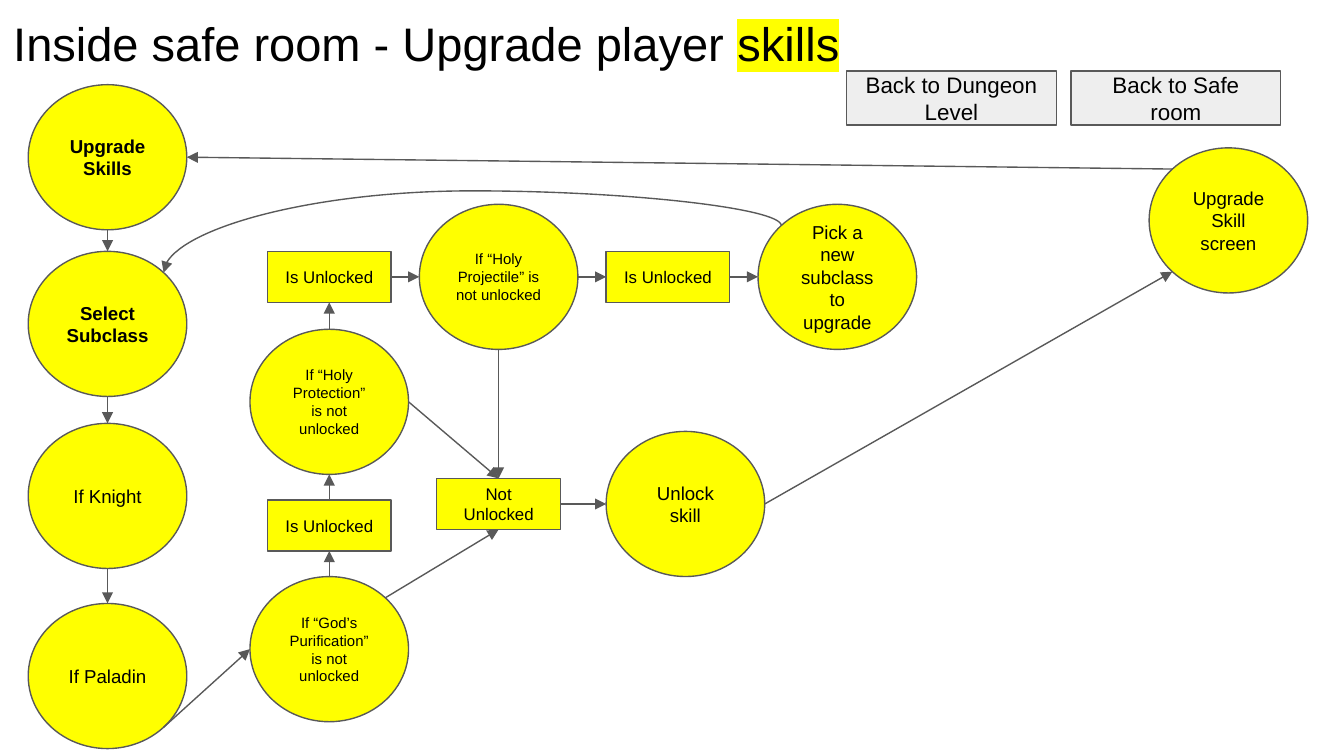
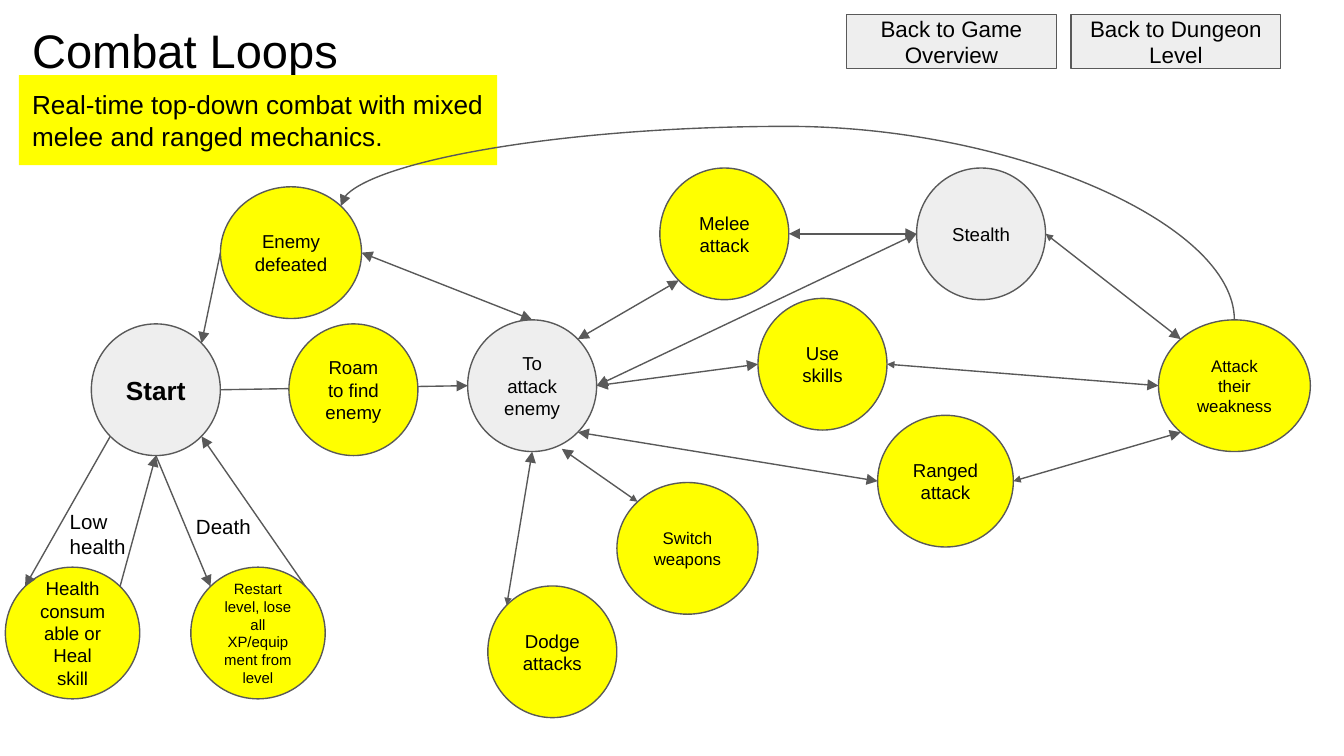
from dataclasses import dataclass
from math import sqrt

from lxml import etree
from pptx import Presentation
from pptx.dml.color import RGBColor
from pptx.enum.shapes import MSO_CONNECTOR, MSO_SHAPE
from pptx.enum.text import MSO_ANCHOR, PP_ALIGN
from pptx.oxml.ns import qn
from pptx.util import Emu, Pt

OVAL, RECTANGLE = MSO_SHAPE.OVAL, MSO_SHAPE.RECTANGLE
STRAIGHT, CURVE = MSO_CONNECTOR.STRAIGHT, MSO_CONNECTOR.CURVE
TOP, MIDDLE, BOTTOM = MSO_ANCHOR.TOP, MSO_ANCHOR.MIDDLE, MSO_ANCHOR.BOTTOM
LEFT, CENTER = PP_ALIGN.LEFT, PP_ALIGN.CENTER

EMU_PER_PX = 9144
YELLOW, GREY, LINE, BLACK = "FFFF00", "EEEEEE", "595959", "000000"
FONT = "Arial"
TITLE_SIZE, LINE_WIDTH, INSET = 25.2, 0.75, 10
DIAGONAL = sqrt(0.5)
DIRECTIONS = {
    "n": (0, -1), "w": (-1, 0), "s": (0, 1), "e": (1, 0),
    "nw": (-DIAGONAL, -DIAGONAL), "ne": (DIAGONAL, -DIAGONAL),
    "sw": (-DIAGONAL, DIAGONAL), "se": (DIAGONAL, DIAGONAL),
}
RECTANGLE_SITES = {"n": 0, "w": 1, "s": 2, "e": 3}

Point = tuple[float, float]


@dataclass(frozen=True)
class Node:
    name: str
    text: str
    left: int
    top: int
    width: int
    height: int
    size: float = 10
    fill: str = YELLOW
    bold: bool = False
    outline: MSO_SHAPE = OVAL
    front: bool = False


@dataclass(frozen=True)
class Label:
    text: str
    left: int
    top: int
    width: int
    height: int
    size: float
    fill: str = ""
    anchor: MSO_ANCHOR = TOP
    marked: str = ""


@dataclass(frozen=True)
class Link:
    start: str
    end: str | Point
    head: str = ""
    peak: int | None = None


@dataclass(frozen=True)
class Page:
    labels: list[Label]
    nodes: list[Node]
    links: list[Link]


def px(value: float) -> Emu:
    return Emu(round(value * EMU_PER_PX))


def color(value: str) -> RGBColor:
    return RGBColor.from_string(value)


def title(text: str, left: int, top: int, marked: str = "") -> Label:
    return Label(text, left, top, 932, 63, TITLE_SIZE, anchor=BOTTOM, marked=marked)


def button(text: str, column: int, top: int) -> Node:
    return Node(text, text, 630 + 167 * column, top, 156, 40, 12, GREY, outline=RECTANGLE)


def skill(name: str, text: str, left: int, top: int, size: float = 10, bold: bool = False) -> Node:
    return Node(name, text, left, top, 118, 108, size, bold=bold)


def status(name: str, text: str, left: int, top: int) -> Node:
    return Node(name, text, left, top, 92, 38, 9, outline=RECTANGLE)


def action(name: str, text: str, left: int, top: int, width: int = 96, size: float = 10,
           fill: str = YELLOW, bold: bool = False, front: bool = False) -> Node:
    return Node(name, text, left, top, width, 98, size, fill, bold, front=front)


def write_text(shape, text: str, size: float, anchor: MSO_ANCHOR, align: PP_ALIGN,
               bold: bool = False, marked: str = "") -> None:
    frame = shape.text_frame
    frame.text = text
    frame.word_wrap = True
    frame.vertical_anchor = anchor
    frame.margin_left = frame.margin_right = px(INSET)
    frame.margin_top = frame.margin_bottom = px(INSET)
    if marked:
        frame.paragraphs[0].add_run().text = marked
    for paragraph in frame.paragraphs:
        paragraph.alignment = align
        for run in paragraph.runs:
            run.font.size = Pt(size)
            run.font.bold = bold
            run.font.color.rgb = color(BLACK)
            if marked and run.text == marked:
                highlight = etree.SubElement(run.font._element, qn("a:highlight"))
                etree.SubElement(highlight, qn("a:srgbClr")).set("val", YELLOW)
            run.font.name = FONT


def draw_label(slide, label: Label) -> None:
    shape = slide.shapes.add_textbox(
        px(label.left), px(label.top), px(label.width), px(label.height))
    if label.fill:
        shape.fill.solid()
        shape.fill.fore_color.rgb = color(label.fill)
    write_text(shape, label.text, label.size, label.anchor, LEFT, marked=label.marked)


def draw_node(slide, node: Node):
    shape = slide.shapes.add_shape(
        node.outline, px(node.left), px(node.top), px(node.width), px(node.height))
    shape.shadow.inherit = False
    shape.fill.solid()
    shape.fill.fore_color.rgb = color(node.fill)
    shape.line.color.rgb = color(LINE)
    shape.line.width = Pt(LINE_WIDTH)
    write_text(shape, node.text, node.size, MIDDLE, CENTER, node.bold)
    return shape


def locate(anchor: str | Point, nodes: dict[str, Node]) -> Point:
    if not isinstance(anchor, str):
        return anchor
    name, site = anchor.split(":")
    node = nodes[name]
    across, down = DIRECTIONS[site]
    return (node.left + node.width / 2 * (1 + across),
            node.top + node.height / 2 * (1 + down))


def add_straight(slide, start: Point, end: Point):
    return slide.shapes.add_connector(STRAIGHT, *map(px, (*start, *end)))


def add_arch(slide, start: Point, end: Point, peak: int):
    rise = end[1] - start[1]
    span = abs(end[0] - start[0])
    middle_x, middle_y = (start[0] + end[0]) / 2, (start[1] + end[1]) / 2
    connector = slide.shapes.add_connector(
        CURVE, px(middle_x - rise / 2), px(middle_y - span / 2),
        px(middle_x + rise / 2), px(middle_y + span / 2))
    properties = connector._element.spPr
    properties.find(qn("a:xfrm")).set("rot", str(90 * 60000))
    guide = etree.SubElement(properties.find(f".//{qn('a:avLst')}"), qn("a:gd"))
    guide.set("name", "adj1")
    guide.set("fmla", f"val {round((peak - start[1]) / rise * 100000)}")
    return connector


def draw_link(slide, link: Link, nodes: dict[str, Node], shapes: dict) -> None:
    start, end = locate(link.start, nodes), locate(link.end, nodes)
    if link.peak is None:
        connector = add_straight(slide, start, end)
        joins = ((link.start, connector.begin_connect), (link.end, connector.end_connect))
        for anchor, connect in joins:
            if isinstance(anchor, str):
                name, site = anchor.split(":")
                if nodes[name].outline == RECTANGLE:
                    connect(shapes[name], RECTANGLE_SITES[site])
    else:
        connector = add_arch(slide, start, end, link.peak)
    connector.line.color.rgb = color(LINE)
    connector.line.width = Pt(LINE_WIDTH)
    line = connector.line._get_or_add_ln()
    for tag, size in (("a:headEnd", link.head), ("a:tailEnd", "med")):
        if size:
            arrow = etree.SubElement(line, qn(tag))
            arrow.set("type", "triangle")
            arrow.set("w", size)
            arrow.set("len", size)
    etree.SubElement(connector._element.spPr, qn("a:effectLst"))


def draw_page(presentation, page: Page) -> None:
    slide = presentation.slides.add_slide(presentation.slide_layouts[6])
    nodes = {node.name: node for node in page.nodes}
    for label in page.labels:
        draw_label(slide, label)
    shapes = {node.name: draw_node(slide, node) for node in page.nodes if not node.front}
    for link in page.links:
        draw_link(slide, link, nodes, shapes)
    for node in page.nodes:
        if node.front:
            draw_node(slide, node)


UPGRADE_SKILLS = Page(
    labels=[title("Inside safe room - Upgrade player ", 0, 0, "skills")],
    nodes=[
        button("Back to Dungeon Level", 0, 53),
        button("Back to Safe room", 1, 53),
        skill("upgrade", "Upgrade Skills", 21, 63, bold=True),
        skill("select", "Select Subclass", 21, 187, bold=True),
        skill("knight", "If Knight", 21, 315),
        skill("paladin", "If Paladin", 21, 449),
        skill("purification", "If “God’s Purification” is not unlocked", 186, 429, 8),
        status("purified", "Is Unlocked", 199, 372),
        skill("protection", "If “Holy Protection” is not unlocked", 186, 245, 8),
        status("protected", "Is Unlocked", 199, 187),
        skill("projectile", "If “Holy Projectile” is not unlocked", 312, 152, 8),
        status("projected", "Is Unlocked", 451, 187),
        skill("pick", "Pick a new subclass to upgrade", 564, 152),
        status("locked", "Not Unlocked", 325, 356),
        skill("unlock", "Unlock skill", 451, 321),
        skill("screen", "Upgrade Skill screen", 855, 110),
    ],
    links=[
        Link("upgrade:s", "select:n"),
        Link("select:s", "knight:n"),
        Link("knight:s", "paladin:n"),
        Link("paladin:se", "purification:w"),
        Link("purification:n", "purified:s"),
        Link("purified:n", "protection:s"),
        Link("protection:n", "protected:s"),
        Link("protected:e", "projectile:w"),
        Link("projectile:e", "projected:w"),
        Link("projected:e", "pick:w"),
        Link("pick:nw", "select:ne", peak=142),
        Link("purification:ne", "locked:s"),
        Link("protection:e", "locked:n"),
        Link("projectile:s", "locked:n"),
        Link("locked:e", "unlock:w"),
        Link("unlock:e", "screen:sw"),
        Link("screen:nw", "upgrade:e"),
    ],
)

COMBAT_LOOPS = Page(
    labels=[
        title("Combat Loops", 14, 5),
        Label("Real-time top-down combat with mixed melee and ranged mechanics.",
              14, 56, 356, 67, 14, YELLOW),
        Label("Low\nhealth", 42, 369, 76, 50, 11),
        Label("Death", 136, 373, 100, 39, 11),
    ],
    nodes=[
        button("Back to Game Overview", 0, 11),
        button("Back to Dungeon Level", 1, 11),
        action("start", "Start", 68, 241, size=14, fill=GREY, bold=True),
        action("roam", "Roam to find enemy", 215, 241, front=True),
        action("engage", "To attack enemy", 348, 238, fill=GREY),
        action("defeated", "Enemy defeated", 164, 139, 105),
        action("melee", "Melee attack", 491, 125),
        action("stealth", "Stealth", 682, 125, fill=GREY),
        action("skills", "Use skills", 564, 222),
        action("ranged", "Ranged attack", 653, 309, 101),
        action("weakness", "Attack their weakness", 862, 238, 113, 9),
        action("switch", "Switch weapons", 459, 359, 105, 9),
        action("dodge", "Dodge attacks", 363, 436),
        action("heal", "Health consumable or Heal skill", 4, 422, 100),
        action("restart", "Restart level, lose all XP/equipment from level", 142, 422, 100, 8),
    ],
    links=[
        Link("start:e", "engage:w"),
        Link("start:sw", "heal:nw"),
        Link("heal:ne", "start:s"),
        Link("start:s", "restart:nw"),
        Link("restart:ne", "start:se"),
        Link("defeated:w", "start:ne"),
        Link("defeated:e", "engage:n", "med"),
        Link("melee:sw", "engage:ne", "med"),
        Link("skills:w", "engage:e", "med"),
        Link("ranged:w", "engage:se", "med"),
        Link("stealth:w", "engage:e", "med"),
        Link("stealth:w", "melee:e", "med"),
        Link("dodge:nw", "engage:s", "sm"),
        Link("switch:nw", (418, 334), "sm"),
        Link("stealth:e", "weakness:nw", "sm"),
        Link("skills:e", "weakness:w", "sm"),
        Link("ranged:e", "weakness:sw", "sm"),
        Link("weakness:n", "defeated:ne", peak=94),
    ],
)


def main() -> None:
    presentation = Presentation()
    presentation.slide_width = px(1000)
    presentation.slide_height = px(562.5)
    for page in (UPGRADE_SKILLS, COMBAT_LOOPS):
        draw_page(presentation, page)
    presentation.save("out.pptx")


if __name__ == "__main__":
    main()
